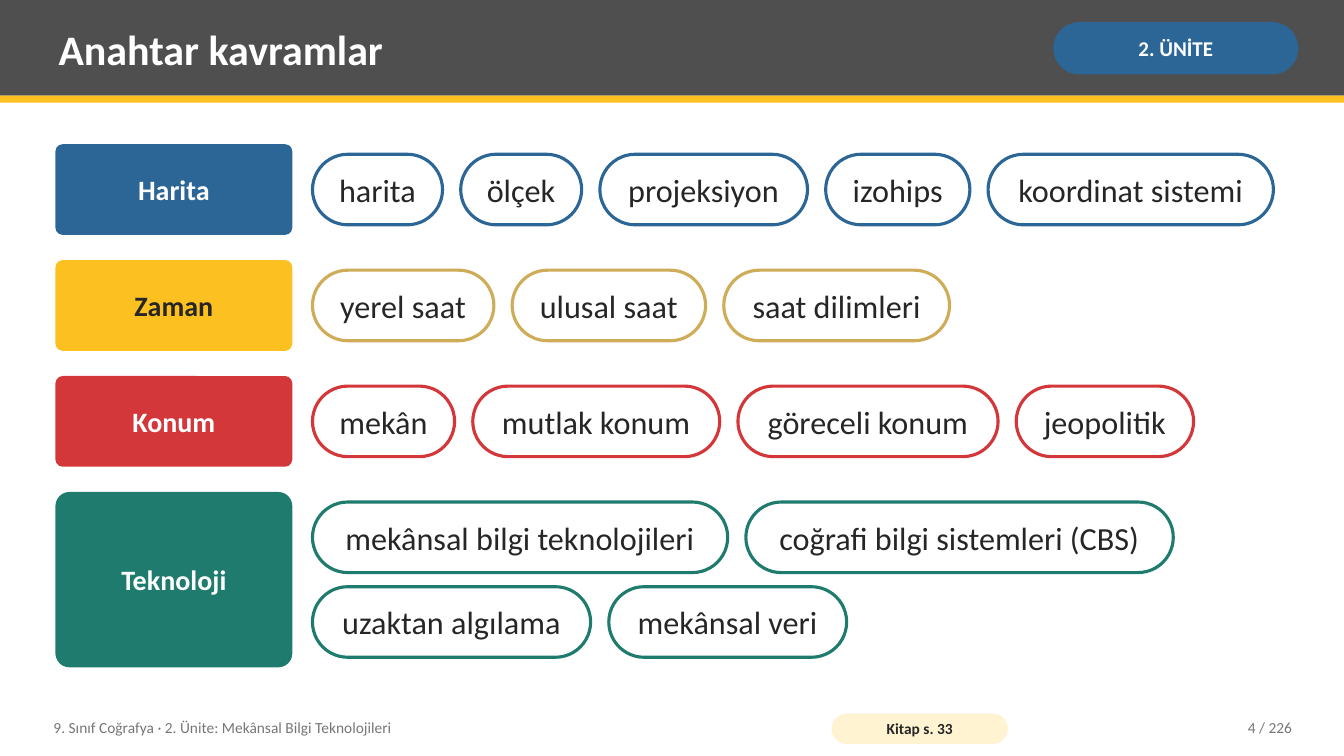
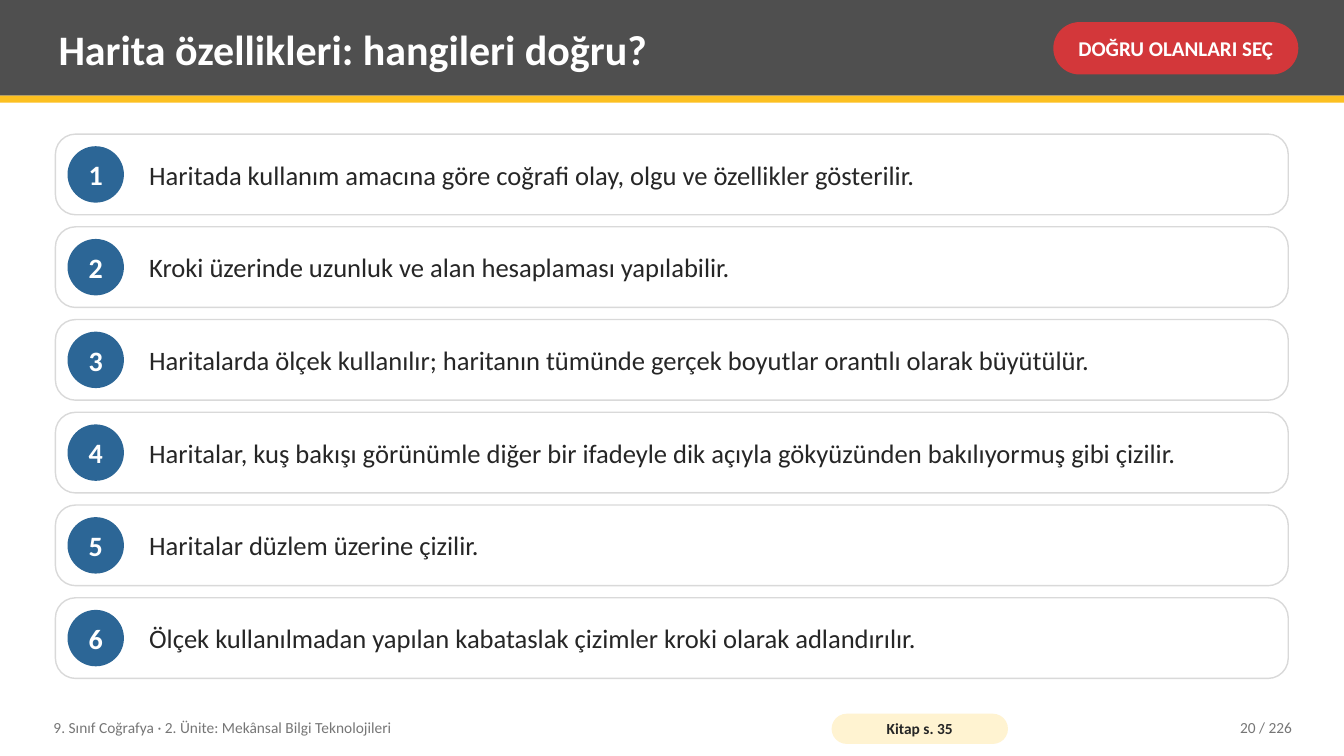
from pptx import Presentation
from pptx.dml.color import RGBColor
from pptx.enum import shapes, text
from pptx.util import Pt

WHITE = RGBColor(0xFF, 0xFF, 0xFF)
INK = RGBColor(0x26, 0x26, 0x26)
CHARCOAL = RGBColor(0x4F, 0x4F, 0x4F)
GRAY = RGBColor(0x76, 0x76, 0x76)
PALE_GRAY = RGBColor(0xD9, 0xD9, 0xD9)
BLUE = RGBColor(0x2C, 0x66, 0x96)
YELLOW = RGBColor(0xFC, 0xC0, 0x21)
OCHRE = RGBColor(0xCE, 0xAC, 0x58)
CREAM = RGBColor(0xFF, 0xF3, 0xD1)
RED = RGBColor(0xD3, 0x37, 0x3A)
GREEN = RGBColor(0x1E, 0x7B, 0x6E)

RECT = shapes.MSO_SHAPE.RECTANGLE
ROUND = shapes.MSO_SHAPE.ROUNDED_RECTANGLE
OVAL = shapes.MSO_SHAPE.OVAL
LEFT, CENTER, RIGHT = text.PP_ALIGN.LEFT, text.PP_ALIGN.CENTER, text.PP_ALIGN.RIGHT

FONT = "Calibri"
SLIDE_W, SLIDE_H = 960, 540
MARGIN = 39.6
BAND_H, STRIPE_H = 68.4, 5
FOOTER_Y, FOOTER_H = 506.9, 25.9
FOOTER = "9. Sınıf Coğrafya · 2. Ünite: Mekânsal Bilgi Teknolojileri"
PAGE_COUNT = 226

CATEGORY_W, CATEGORY_GAP, CATEGORY_PAD = 169.2, 18, 7.2
CHIP_X, CHIP_H, CHIP_GAP, LINE_GAP = 223.2, 50.4, 13, 10.1
# name, fill, text colour, chip outline, lines of (term, chip width)
CATEGORIES = [
    ("Harita", BLUE, WHITE, BLUE,
     [[("harita", 92.9), ("ölçek", 86.4), ("projeksiyon", 148.3),
       ("izohips", 103), ("koordinat sistemi", 203.8)]]),
    ("Zaman", YELLOW, INK, OCHRE,
     [[("yerel saat", 129.6), ("ulusal saat", 138.2), ("saat dilimleri", 161.3)]]),
    ("Konum", RED, WHITE, RED,
     [[("mekân", 101.5), ("mutlak konum", 176.4), ("göreceli konum", 185.8),
       ("jeopolitik", 126.7)]]),
    ("Teknoloji", GREEN, WHITE, GREEN,
     [[("mekânsal bilgi teknolojileri", 296.6), ("coğrafi bilgi sistemleri (CBS)", 305.3)],
      [("uzaktan algılama", 198.7), ("mekânsal veri", 169.9)]]),
]

CARD_W, CARD_H, CARD_PITCH, NUMBER_D = 880.6, 57.6, 66.24, 40.3
STATEMENTS = [
    "Haritada kullanım amacına göre coğrafi olay, olgu ve özellikler gösterilir.",
    "Kroki üzerinde uzunluk ve alan hesaplaması yapılabilir.",
    "Haritalarda ölçek kullanılır; haritanın tümünde gerçek boyutlar orantılı olarak büyütülür.",
    "Haritalar, kuş bakışı görünümle diğer bir ifadeyle dik açıyla gökyüzünden bakılıyormuş gibi çizilir.",
    "Haritalar düzlem üzerine çizilir.",
    "Ölçek kullanılmadan yapılan kabataslak çizimler kroki olarak adlandırılır.",
]


def put_text(sp, content, size, color, bold=False, align=CENTER, inset=(5.8, 2.9), wrap=True):
    """Write one vertically centred paragraph; inset is (sides, top and bottom)."""
    tf = sp.text_frame
    side, end = map(Pt, inset)
    frame = dict(margin_left=side, margin_right=side, margin_top=end, margin_bottom=end,
                 word_wrap=wrap, auto_size=text.MSO_AUTO_SIZE.NONE,
                 vertical_anchor=text.MSO_ANCHOR.MIDDLE)
    for name, value in frame.items():
        setattr(tf, name, value)
    p = tf.paragraphs[0]
    p.alignment = align
    r = p.add_run()
    r.text = content
    for name, value in dict(name=FONT, size=Pt(size), bold=bold).items():
        setattr(r.font, name, value)
    r.font.color.rgb = color


def add_box(s, kind, x, y, w, h, fill, line=None, line_w=1, radius=None):
    sp = s.shapes.add_shape(kind, Pt(x), Pt(y), Pt(w), Pt(h))
    sp.shadow.inherit = False
    sp.fill.solid()
    sp.fill.fore_color.rgb = fill
    if line is None:
        sp.line.fill.background()
    else:
        sp.line.color.rgb = line
        sp.line.width = Pt(line_w)
    if radius is not None:
        sp.adjustments[0] = radius
    return sp


def add_label(s, x, y, w, h, content, size, color, align=LEFT):
    sp = s.shapes.add_textbox(Pt(x), Pt(y), Pt(w), Pt(h))
    put_text(sp, content, size, color, align=align)


def add_page(prs, title, badge, badge_fill, book_page, page):
    """Add a slide with the shared header and footer."""
    s = prs.slides.add_slide(prs.slide_layouts[5])
    sp = s.shapes.title
    for name, value in dict(left=36, top=5, width=702, height=59).items():
        setattr(sp, name, Pt(value))
    put_text(sp, title, 30, WHITE, bold=True, align=LEFT)
    for y, h, fill in ((0, BAND_H, CHARCOAL), (BAND_H, STRIPE_H, YELLOW)):
        band = add_box(s, RECT, 0, y, SLIDE_W, h, fill)
        sp.element.addprevious(band.element)  # keeps the title in front
    pill = add_box(s, ROUND, 752.4, 15.8, 175, 37.4, badge_fill, radius=0.5)
    put_text(pill, badge, 15, WHITE, bold=True, inset=(3.6, 1.4))

    add_label(s, 32.4, FOOTER_Y, 547.2, FOOTER_H, FOOTER, 11, GRAY)
    pill = add_box(s, ROUND, 594, 509.8, 126, 21.6, CREAM, radius=0.5)
    put_text(pill, f"Kitap s. {book_page}", 11, INK, bold=True, inset=(2.9, 0))
    add_label(s, 813.6, FOOTER_Y, 115.2, FOOTER_H, f"{page} / {PAGE_COUNT}", 11, GRAY, RIGHT)
    return s


def add_chip_line(s, y, chips, outline):
    x = CHIP_X
    for term, w in chips:
        chip = add_box(s, ROUND, x, y, w, CHIP_H, WHITE, outline, 2.25, radius=0.5)
        put_text(chip, term, 23, INK, inset=(7.2, 1.4))
        x += w + CHIP_GAP


def add_categories(s, y):
    for name, fill, color, outline, lines in CATEGORIES:
        h = 2 * CATEGORY_PAD + len(lines) * (CHIP_H + LINE_GAP) - LINE_GAP
        sp = add_box(s, ROUND, MARGIN, y, CATEGORY_W, h, fill, radius=0.08)
        put_text(sp, name, 20, color, bold=True, inset=(10.1, 5.8))
        for i, chips in enumerate(lines):
            add_chip_line(s, y + CATEGORY_PAD + i * (CHIP_H + LINE_GAP), chips, outline)
        y += h + CATEGORY_GAP


def add_statements(s, top):
    inner = (CARD_H - NUMBER_D) / 2
    for i, statement in enumerate(STATEMENTS):
        y = top + i * CARD_PITCH
        add_box(s, ROUND, MARGIN, y, CARD_W, CARD_H, WHITE, PALE_GRAY, radius=0.25)
        number = add_box(s, OVAL, MARGIN + inner, y + inner, NUMBER_D, NUMBER_D, BLUE)
        put_text(number, str(i + 1), 20, WHITE, bold=True, inset=(0, 0), wrap=False)
        add_label(s, 100.8, y, 808.6, CARD_H, statement, 19, INK)


def main():
    prs = Presentation()
    prs.slide_width, prs.slide_height = Pt(SLIDE_W), Pt(SLIDE_H)
    s = add_page(prs, "Anahtar kavramlar", "2. ÜNİTE", BLUE, 33, 4)
    add_categories(s, 103)
    s = add_page(prs, "Harita özellikleri: hangileri doğru?", "DOĞRU OLANLARI SEÇ", RED, 35, 20)
    add_statements(s, 95.8)
    prs.save("out.pptx")


if __name__ == "__main__":
    main()
